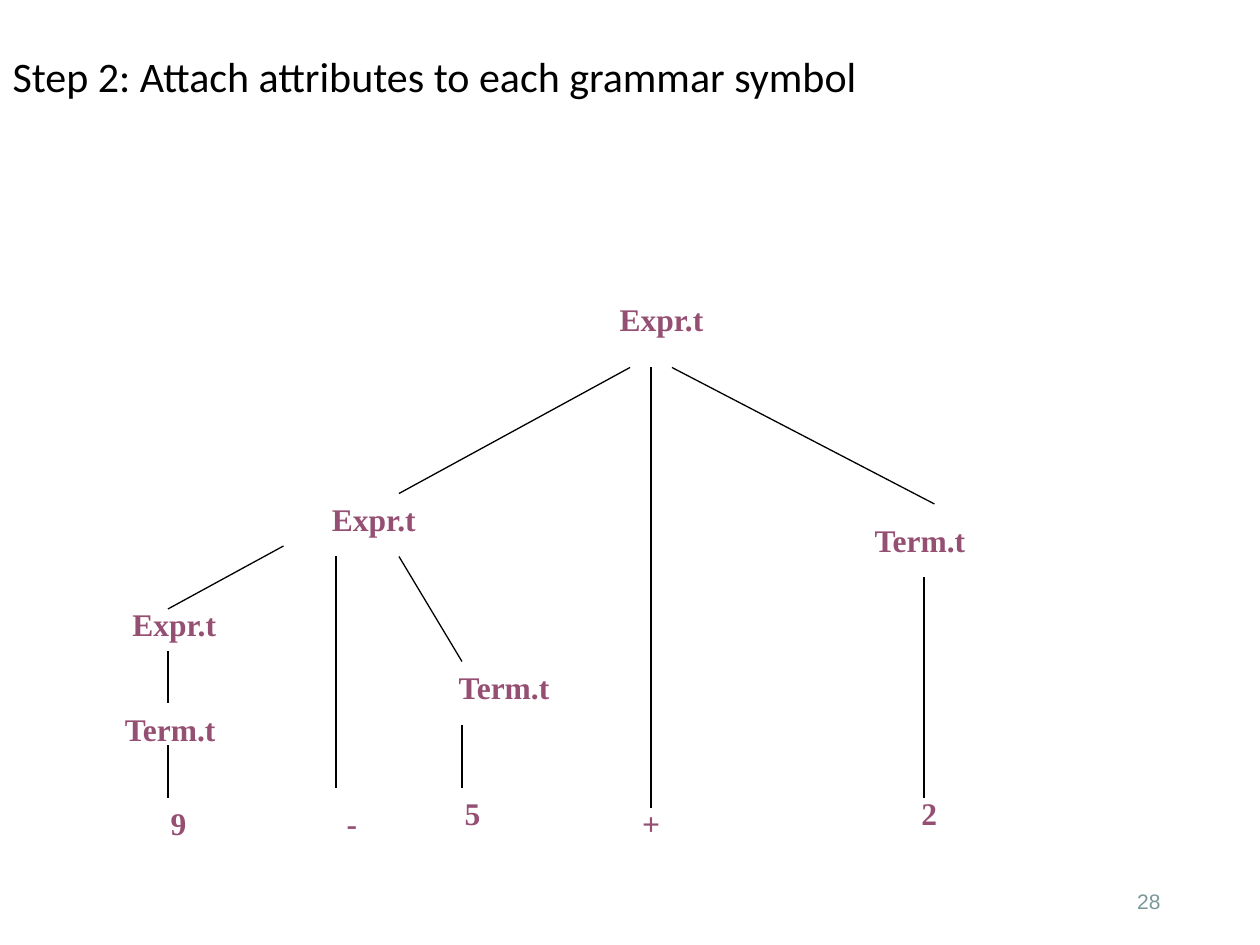
import dataclasses

import lxml.etree
import pptx
import pptx.dml.color
import pptx.enum.shapes
import pptx.enum.text
import pptx.oxml.ns
import pptx.util

COLUMNS, ROWS = 120, 90
CELL = pptx.util.Inches(10) // COLUMNS
BLACK, PURPLE, GREY = "000000", "954F72", "7B9899"
ALIGN = pptx.enum.text.PP_ALIGN
ANCHOR = pptx.enum.text.MSO_ANCHOR


@dataclasses.dataclass(frozen=True)
class Label:
    text: str
    center: float
    row: float
    columns: float = 34


@dataclasses.dataclass(frozen=True)
class Branch:
    start_column: float
    start_row: float
    end_column: float
    end_row: float


LABELS = [
    Label("Expr.t", 63, 28),
    Label("Expr.t", 35.6, 47),
    Label("Term.t", 87.6, 49),
    Label("Expr.t", 16.6, 57),
    Label("Term.t", 48, 63),
    Label("Term.t", 16.2, 67),
    Label("9", 17, 76),
    Label("-", 33.5, 76, 19),
    Label("5", 45, 75, 26),
    Label("+", 62, 76),
    Label("2", 88.5, 75, 31),
]

BRANCHES = [
    Branch(60, 35, 38, 47),
    Branch(62, 35, 62, 77),
    Branch(64, 35, 89, 48),
    Branch(27, 52, 16, 58),
    Branch(32, 53, 32, 75),
    Branch(38, 53, 44, 63),
    Branch(88, 55, 88, 76),
    Branch(44, 69, 44, 75),
    Branch(16, 62, 16, 67),
    Branch(16, 71, 16, 76),
]


def cells(count: float) -> int:
    return round(count * CELL)


def color(value: str) -> pptx.dml.color.RGBColor:
    return pptx.dml.color.RGBColor.from_string(value)


def write(shape, text: str, font: str, size: float, fill: str, align, anchor,
          bold: bool = False) -> None:
    frame = shape.text_frame
    frame.text = text
    frame.word_wrap = True
    frame.vertical_anchor = anchor
    paragraph = frame.paragraphs[0]
    paragraph.alignment = align
    style = paragraph.runs[0].font
    style.name, style.size, style.bold = font, pptx.util.Pt(size), bold
    style.color.rgb = color(fill)


def draw_title(slide, text: str) -> None:
    title = slide.shapes.title
    title.left, title.top = 0, cells(2)
    title.width, title.height = cells(114), cells(11)
    write(title, text, "Calibri", 24, BLACK, ALIGN.LEFT, ANCHOR.MIDDLE)
    title.text_frame.paragraphs[0].line_spacing = 0.9


def draw_label(slide, label: Label) -> None:
    box = slide.shapes.add_textbox(cells(label.center - label.columns / 2), cells(label.row),
                                   cells(label.columns), cells(4.8))
    write(box, label.text, "Times New Roman", 18, PURPLE, ALIGN.CENTER, ANCHOR.TOP, True)
    box.text_frame.auto_size = pptx.enum.text.MSO_AUTO_SIZE.SHAPE_TO_FIT_TEXT


def draw_branch(slide, branch: Branch) -> None:
    line = slide.shapes.add_connector(
        pptx.enum.shapes.MSO_CONNECTOR.STRAIGHT,
        *(cells(count) for count in dataclasses.astuple(branch)))
    line.line.color.rgb = color(BLACK)
    line.line.width = pptx.util.Pt(0.75)
    lxml.etree.SubElement(line._element.spPr, pptx.oxml.ns.qn("a:effectLst"))


def draw_page_number(slide, number: str) -> None:
    box = slide.shapes.add_textbox(cells(84.7), cells(83.4), cells(27), cells(4.8))
    write(box, number, "Arial", 12, GREY, ALIGN.RIGHT, ANCHOR.MIDDLE)


def main() -> None:
    presentation = pptx.Presentation()
    presentation.slide_width, presentation.slide_height = cells(COLUMNS), cells(ROWS)
    slide = presentation.slides.add_slide(presentation.slide_layouts.get_by_name("Title Only"))
    draw_title(slide, "Step 2: Attach attributes to each grammar symbol")
    for branch in BRANCHES:
        draw_branch(slide, branch)
    for label in LABELS:
        draw_label(slide, label)
    draw_page_number(slide, "28")
    presentation.save("out.pptx")


if __name__ == "__main__":
    main()
